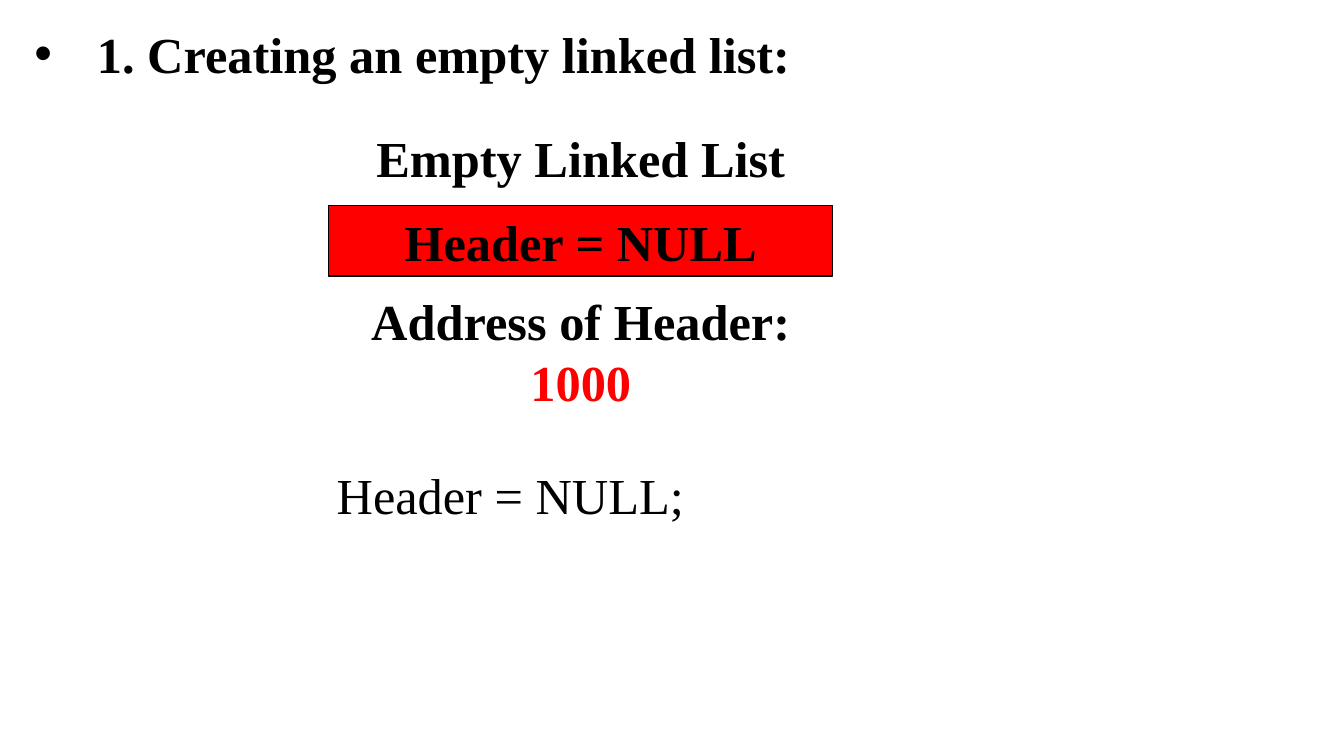
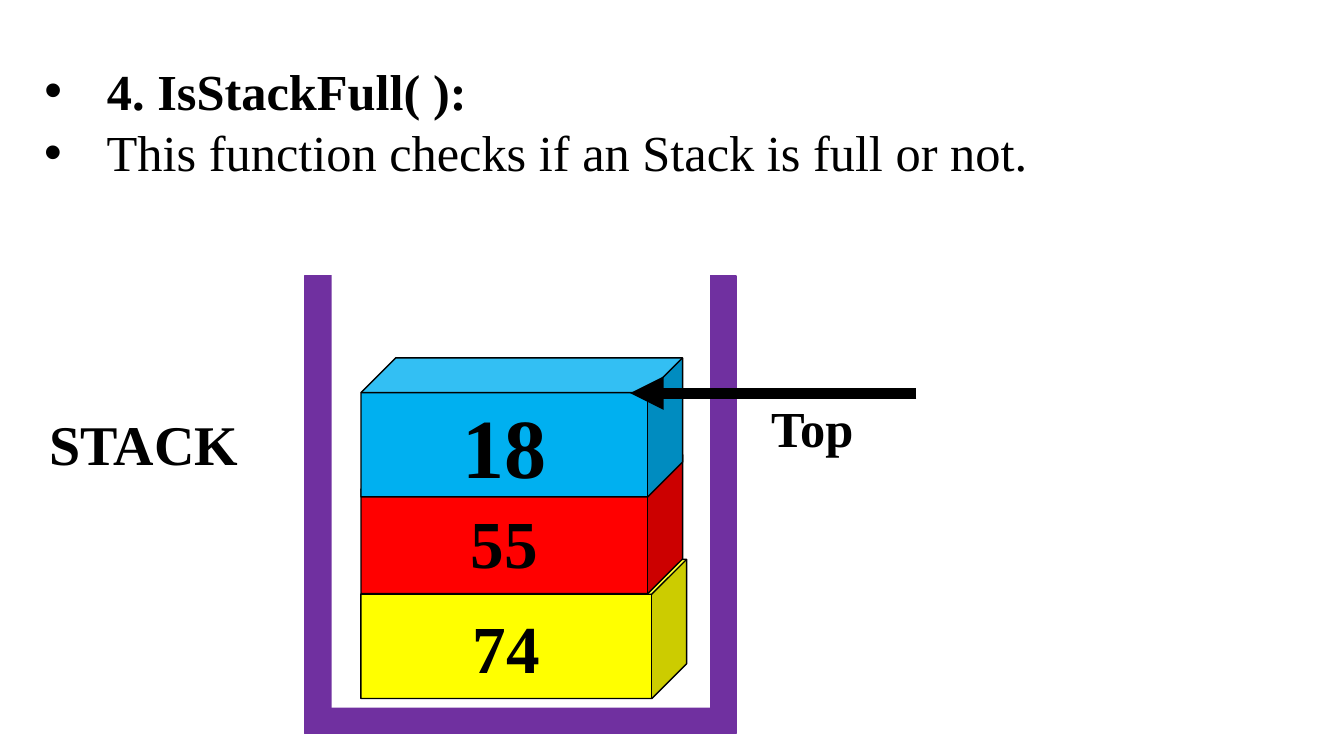
from lxml import etree
from pptx import Presentation
from pptx.dml.color import RGBColor
from pptx.enum import shapes as kinds, text as t
from pptx.oxml import ns
from pptx.util import Inches, Pt

COLORS = {"ink": "000000", "paper": "FFFFFF", "red": "FF0000", "yellow": "FFFF00",
          "blue": "00B0F0", "purple": "7030A0"}
TEXT = {"name": "Times New Roman", "size": Pt(36), "bold": True}
LINE_HEIGHT = 0.61
HEADING_HEIGHT = 0.71


def rgb(name):
    """Return the named palette colour."""
    return RGBColor.from_string(COLORS[name])


def add_bullet(paragraph):
    """Give a paragraph a hanging round bullet."""
    props = paragraph._p.get_or_add_pPr()
    props.set("marL", str(Inches(0.62)))
    props.set("indent", str(-Inches(0.62)))
    etree.SubElement(props, ns.qn("a:buFont"), typeface="Arial")
    etree.SubElement(props, ns.qn("a:buChar"), char="•")


def write(shape, lines, align="CENTER", anchor="MIDDLE", bullet=False, **style):
    """Fill a shape with lines, each a (wording, colour name) pair."""
    frame = shape.text_frame
    for key, value in {"word_wrap": True, "auto_size": t.MSO_AUTO_SIZE.NONE,
                       "vertical_anchor": t.MSO_ANCHOR[anchor]}.items():
        setattr(frame, key, value)
    for index, (wording, color) in enumerate(lines):
        paragraph = frame.add_paragraph() if index else frame.paragraphs[0]
        paragraph.alignment = t.PP_ALIGN[align]
        if bullet:
            add_bullet(paragraph)
        run = paragraph.add_run()
        run.text = wording
        for key, value in {**TEXT, **style}.items():
            setattr(run.font, key, value)
        run.font.color.rgb = rgb(color)


def add_label(slide, box, lines, **style):
    """Place plain text in a box."""
    label = slide.shapes.add_textbox(*map(Inches, box))
    write(label, lines, **style)


def add_block(slide, box, fill, line=None, kind="RECTANGLE"):
    """Place a flat preset shape, outlined if a line colour is given."""
    block = slide.shapes.add_shape(kinds.MSO_SHAPE[kind], *map(Inches, box))
    block.shadow.inherit = False
    block.fill.solid()
    block.fill.fore_color.rgb = rgb(fill)
    if line:
        block.line.color.rgb = rgb(line)
        block.line.width = Pt(1)
    else:
        block.line.fill.background()
    return block


def add_titled_slide(prs, left, top, width, title):
    """Add a title-only slide with a bulleted heading."""
    slide = prs.slides.add_slide(prs.slide_layouts[5])
    heading = slide.shapes.title
    for key, value in {"left": left, "top": top, "width": width,
                       "height": HEADING_HEIGHT}.items():
        setattr(heading, key, Inches(value))
    write(heading, [(title, "ink")], align="LEFT", bullet=True)
    return slide


def add_header_node(slide, left, top, width):
    """Draw the header box with its caption and address centred on it."""
    center = left + width / 2
    for offset, span, height, fill, line, lines in (
            (-0.83, 6.41, 0.71, "paper", None, [("Empty Linked List", "ink")]),
            (0, width, 0.7, "red", "ink", [("Header = NULL", "ink")]),
            (0.92, 5.59, 1.04, "paper", None,
             [("Address of Header:", "ink"), ("1000", "red")])):
        box = (center - span / 2, top + offset, span, height)
        write(add_block(slide, box, fill, line), lines)


def add_stack(slide, left, top, width, height):
    """Draw the open container with its three cubes."""
    wall = 0.27
    add_block(slide, (left, top, width, height), "purple", "purple")
    add_block(slide, (left + wall, top - 0.12, width - 2 * wall + 0.01,
                      height - wall + 0.13), "paper")
    for value, fill, offset, span, size in (("74", "yellow", 2.81, 3.23, 48),
                                            ("55", "red", 1.77, 3.19, 48),
                                            ("18", "blue", 0.81, 3.19, 60)):
        cube = add_block(slide, (left + 0.56, top + offset, span, 1.38),
                         fill, "ink", "CUBE")
        write(cube, [(value, "ink")], size=Pt(size))


def add_top_pointer(slide, tip, start, y):
    """Draw the arrow to the top cube and its label below."""
    arrow = slide.shapes.add_connector(kinds.MSO_CONNECTOR.STRAIGHT,
                                       *map(Inches, (start, y, tip, y)))
    arrow.line.color.rgb = rgb("ink")
    arrow.line.width = Pt(8)
    etree.SubElement(arrow.line._get_or_add_ln(), ns.qn("a:tailEnd"), type="triangle")
    etree.SubElement(arrow._element.spPr, ns.qn("a:effectLst"))
    add_label(slide, (tip + 1.3, y - 0.01, 4.61, 0.71), [("Top", "ink")],
              align="LEFT", anchor="TOP")


def build_empty_list(prs):
    """Build the slide on the empty linked list."""
    slide = add_titled_slide(prs, 0.24, 0.17, 12.66, "1. Creating an empty linked list:")
    add_header_node(slide, 3.26, 2.04, 5)
    statement = add_block(slide, (3.24, 4.23, 4.22, 1.34), "paper")
    write(statement, [("Header = NULL;", "ink")], align="LEFT", bold=False)


def build_full_stack(prs):
    """Build the slide on the full stack check."""
    left, top, width = 0.34, 0.54, 12.5
    slide = add_titled_slide(prs, left, top, width, "4. IsStackFull( ):")
    add_label(slide, (left, top + LINE_HEIGHT, width, HEADING_HEIGHT),
              [("This function checks if an Stack is full or not.", "ink")],
              align="LEFT", bullet=True, bold=False)
    add_stack(slide, 3.02, 2.74, 4.28, 4.54)
    add_top_pointer(slide, 6.25, 9.09, 3.9)
    add_label(slide, (left, 4.01, 2.17, 0.77), [("STACK", "ink")],
              anchor="TOP", size=Pt(40))


def main():
    """Build and save the presentation."""
    prs = Presentation()
    prs.slide_width, prs.slide_height = Inches(13.33), Inches(7.5)
    build_empty_list(prs)
    build_full_stack(prs)
    prs.save("out.pptx")


if __name__ == "__main__":
    main()
